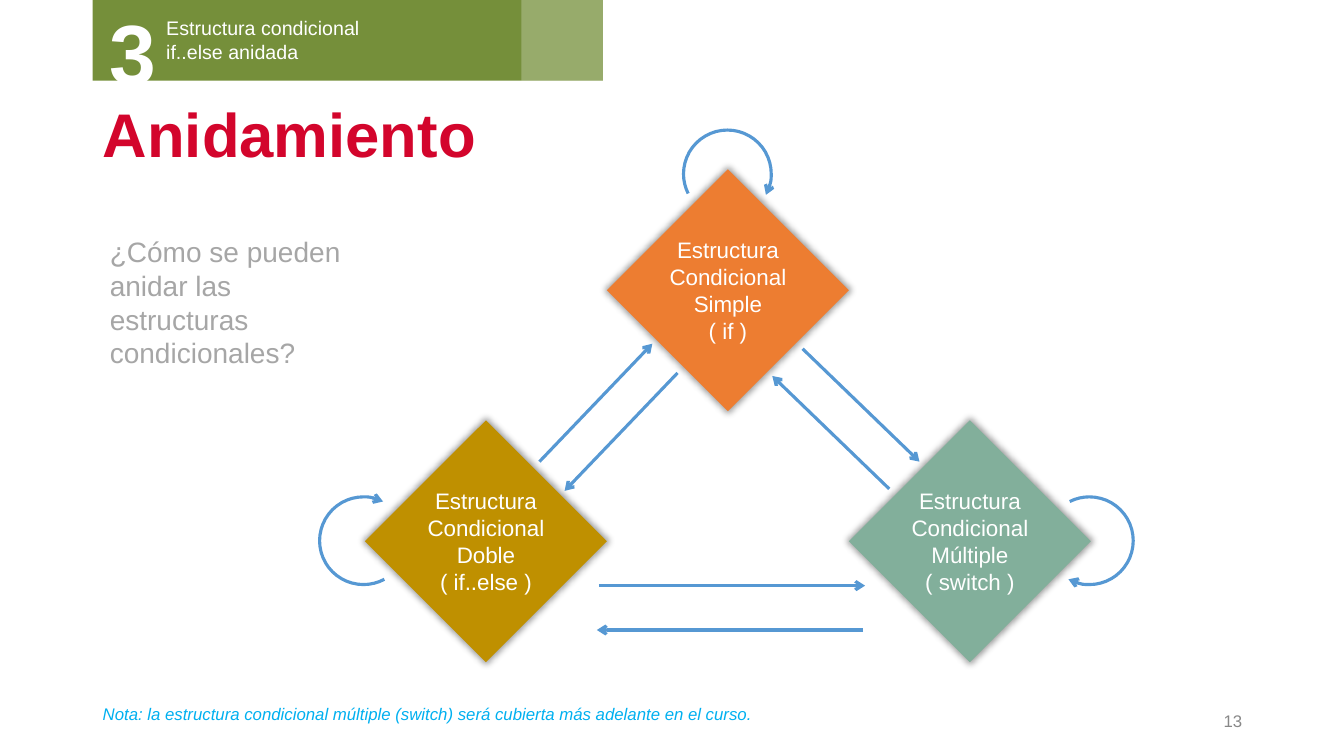
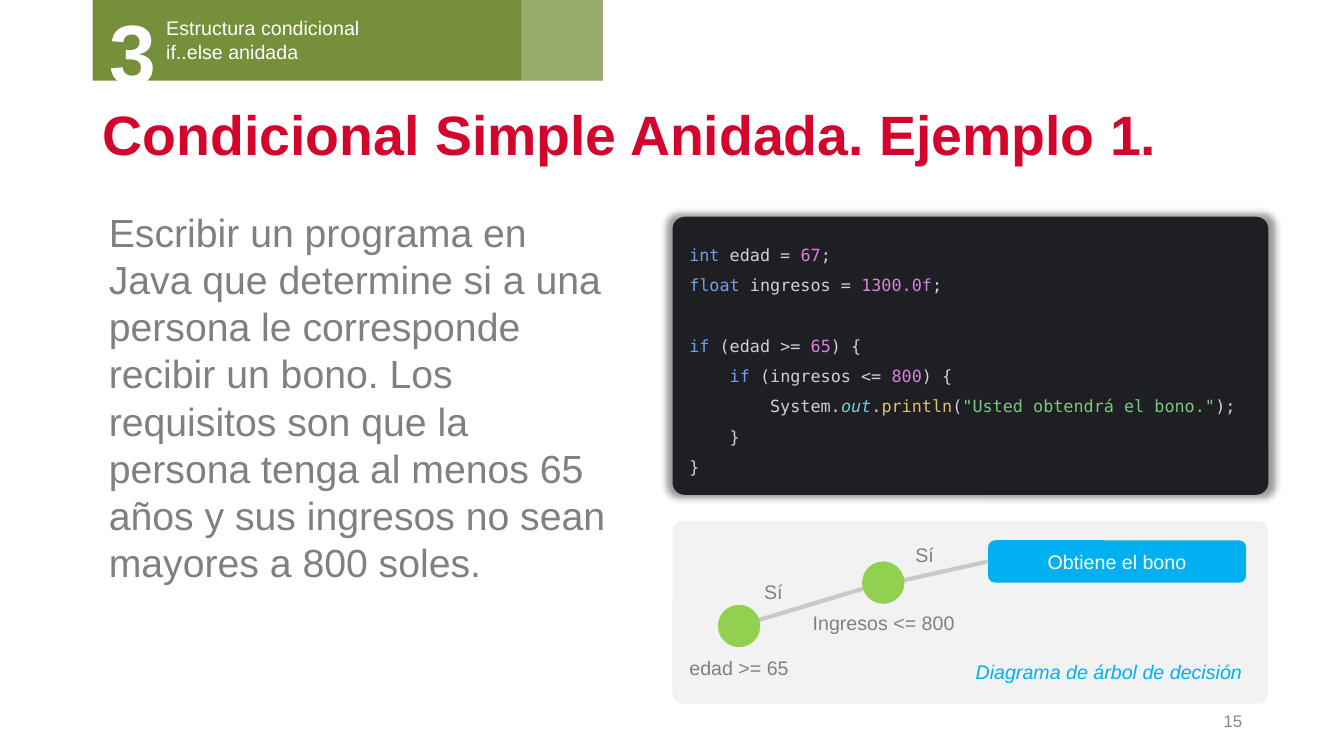
import pptx
import pptx.util
import pptx.dml.color
import pptx.enum.shapes
import pptx.enum.text
import pptx.oxml
import pptx.oxml.ns
from lxml import etree

Inches, Pt = pptx.util.Inches, pptx.util.Pt
SHAPE = pptx.enum.shapes.MSO_SHAPE
LEFT, CENTER, RIGHT = (pptx.enum.text.PP_ALIGN.LEFT, pptx.enum.text.PP_ALIGN.CENTER,
                       pptx.enum.text.PP_ALIGN.RIGHT)
TOP, MIDDLE = pptx.enum.text.MSO_ANCHOR.TOP, pptx.enum.text.MSO_ANCHOR.MIDDLE

FONT, MONO = "Arial", "DejaVu Sans Mono"
COLORS = {
    "white": "FFFFFF", "band": "758F3A", "title": "D3052C", "number": "888888",
    "question": "A6A6A6", "body": "808080", "accent": "00B0F0", "arrow": "5698D3",
    "simple": "ED7D31", "double": "BF9000", "multiple": "82AF9B",
    "editor": "1E1F22", "panel": "F2F2F2", "branch": "C9C9C9", "node": "92D050",
    "plain": "CED0D6", "keyword": "749DED", "value": "D981DE", "field": "72CFD6",
    "method": "DEBC7E", "string": "7EC482",
}

SECTION_NUMBER = "3"
SECTION = ["Estructura condicional", "if..else anidada"]

QUESTION = "¿Cómo se pueden anidar las estructuras condicionales?"
NOTE = ("Nota: la estructura condicional múltiple (switch) será cubierta "
        "más adelante en el curso.")
SIDE = 2.4
DIAMONDS = [  # left, top, colour, lines
    (6.02, 1.68, "simple", ["Estructura Condicional", "Simple", "( if )"]),
    (6.02 - SIDE, 4.17, "double", ["Estructura Condicional Doble", "( if..else )"]),
    (6.02 + SIDE, 4.17, "multiple", ["Estructura Condicional", "Múltiple", "( switch )"]),
]
ARROWS = [  # start, end
    ((7.96, 3.46), (9.12, 4.58)), ((8.82, 4.85), (7.66, 3.73)),
    ((5.35, 4.58), (6.47, 3.41)), ((6.72, 3.7), (5.6, 4.87)),
    ((5.94, 5.81), (8.58, 5.81)), ((8.56, 6.25), (5.92, 6.25)),
]
LOOPS = [  # left, top, rotation, mirrored, arrow end
    (6.78, 1.29, 270, False, "tailEnd"),
    (10.37, 4.93, 0, False, "tailEnd"),
    (3.17, 4.93, 0, True, "headEnd"),
]

TASK = ("Escribir un programa en Java que determine si a una persona le corresponde "
        "recibir un bono. Los requisitos son que la persona tenga al menos 65 años y "
        "sus ingresos no sean mayores a 800 soles.")
DECLARATIONS = [
    [("int ", "keyword"), ("edad = ", "plain"), ("67", "value"), (";", "plain")],
    [("float ", "keyword"), ("ingresos = ", "plain"), ("1300.0f", "value"), (";", "plain")],
]
CONDITION = [
    [("if ", "keyword"), ("(edad >= ", "plain"), ("65", "value"), (") {", "plain")],
    [("    if ", "keyword"), ("(ingresos <= ", "plain"), ("800", "value"), (") {", "plain")],
    [("        System.", "plain"), ("out", "field"), (".", "plain"), ("println", "method"),
     ("(", "plain"), ('"Usted obtendrá el bono."', "string"), (");", "plain")],
    [("    }", "plain")],
    [("}", "plain")],
]
NODE = 0.42
NODES = [(7.12, 6), (8.55, 5.57)]
TREE_LABELS = [  # text, left, top, width, alignment
    ("Sí", 8.98, 5.34, 0.39, LEFT),
    ("Sí", 7.48, 5.7, 0.39, LEFT),
    ("edad >= 65", 6.67, 6.46, 1.32, CENTER),
    ("Ingresos <= 800", 7.83, 6.01, 1.87, CENTER),
]


def rgb(name):
    return pptx.dml.color.RGBColor.from_string(COLORS[name])


def write(shape, paragraphs, size=14, color="white", font=FONT, bold=False, italic=False,
          align=LEFT, anchor=TOP, spacing=None, inset=0.1):
    """Fill a shape; a paragraph is a string or a list of (text, colour) runs."""
    if isinstance(paragraphs, str):
        paragraphs = [paragraphs]
    tf = shape.text_frame
    tf.word_wrap = True
    tf.vertical_anchor = anchor
    tf.margin_left = Inches(inset)
    tf.margin_right = Inches(min(inset, 0.1))
    tf.margin_top = tf.margin_bottom = Inches(0.05)
    for i, runs in enumerate(paragraphs):
        p = tf.add_paragraph() if i else tf.paragraphs[0]
        p.alignment = align
        if spacing:
            p.line_spacing = spacing
        for text, run_color in [(runs, color)] if isinstance(runs, str) else runs:
            r = p.add_run()
            r.text = text
            r.font.name, r.font.size = font, Pt(size)
            r.font.bold = bold
            r.font.italic = italic or run_color == "field"
            r.font.color.rgb = rgb(run_color)
    return shape


def add_text(s, paragraphs, left, top, width, height, **style):
    box = s.shapes.add_textbox(Inches(left), Inches(top), Inches(width), Inches(height))
    return write(box, paragraphs, **style)


def add_shape(s, kind, left, top, width, height, fill=None):
    sp = s.shapes.add_shape(kind, Inches(left), Inches(top), Inches(width), Inches(height))
    sp.shadow.inherit = False
    if fill:
        sp.fill.solid()
        sp.fill.fore_color.rgb = rgb(fill)
        sp.line.fill.background()
    else:
        sp.fill.background()
    return sp


def add_halo(sp):
    """Soft shadow on every side."""
    effects = sp._element.spPr.find(pptx.oxml.ns.qn("a:effectLst"))
    effects.append(pptx.oxml.parse_xml(
        '<a:outerShdw %s blurRad="63500" sx="102000" sy="102000" algn="ctr" rotWithShape="0">'
        '<a:srgbClr val="000000"><a:alpha val="40000"/></a:srgbClr></a:outerShdw>'
        % pptx.oxml.ns.nsdecls("a")))


def set_line(sp, color, width, arrow_end=None):
    sp.line.color.rgb = rgb(color)
    sp.line.width = Pt(width)
    if arrow_end:
        etree.SubElement(sp.line._get_or_add_ln(), pptx.oxml.ns.qn("a:" + arrow_end),
                         type="arrow")


def add_line(s, start, end, color, width, arrow_end=None):
    line = s.shapes.add_connector(pptx.enum.shapes.MSO_CONNECTOR.STRAIGHT,
                                  *[Inches(v) for v in start + end])
    set_line(line, color, width, arrow_end)
    etree.SubElement(line._element.spPr, pptx.oxml.ns.qn("a:effectLst"))
    return line


def add_slide(prs, title, number, title_size):
    """Slide with the section band, the title and the page number."""
    s = prs.slides.add_slide(prs.slide_layouts[5])
    add_shape(s, SHAPE.RECTANGLE, 0.92, 0, 5.06, 0.8, "band")
    add_text(s, SECTION, 1.55, 0.11, 2.75, 0.57)
    add_text(s, SECTION_NUMBER, 0.99, -0.04, 1.12, 1.11, size=60, bold=True)
    veil = add_shape(s, SHAPE.RECTANGLE, 5.17, 0, 0.81, 0.8, "white")
    color = veil._element.spPr.find(".//" + pptx.oxml.ns.qn("a:srgbClr"))
    etree.SubElement(color, pptx.oxml.ns.qn("a:alpha"), val="25000")
    ph = s.shapes.title
    ph.left, ph.top, ph.width, ph.height = [Inches(v) for v in (0.92, 0.93, 11.5, 0.86)]
    write(ph, title, size=title_size, color="title", bold=True, anchor=MIDDLE, spacing=0.9)
    add_text(s, number, 9.42, 6.95, 3, 0.4, size=12, color="number", align=RIGHT,
             anchor=MIDDLE)
    return s


def build_nesting(prs):
    s = add_slide(prs, "Anidamiento", "13", 44)
    add_text(s, QUESTION, 0.99, 2.28, 2.68, 1.45, size=20, color="question")
    for left, top, fill, lines in DIAMONDS:
        diamond = add_shape(s, SHAPE.DIAMOND, left, top, SIDE, SIDE, fill)
        add_halo(diamond)
        write(diamond, lines, size=16, align=CENTER, anchor=MIDDLE, inset=0)
    for start, end in ARROWS:
        add_line(s, start, end, "arrow", 2.25, "tailEnd")
    for left, top, rotation, mirrored, arrow_end in LOOPS:
        loop = add_shape(s, SHAPE.ARC, left, top, 0.87, 0.87)
        loop.adjustments[0], loop.adjustments[1] = 146.06, 71.09
        loop.rotation = rotation
        if mirrored:
            loop._element.spPr.find(pptx.oxml.ns.qn("a:xfrm")).set("flipH", "1")
        set_line(loop, "arrow", 2.25, arrow_end)
    add_text(s, NOTE, 0.92, 6.93, 7.32, 0.3, size=12, color="accent", italic=True)


def build_example(prs):
    s = add_slide(prs, "Condicional Simple Anidada. Ejemplo 1.", "15", 39.6)
    add_text(s, TASK, 0.92, 2.02, 5.23, 4.78, size=28, color="body", inset=0.16)

    editor = add_shape(s, SHAPE.ROUNDED_RECTANGLE, 6.67, 2.15, 5.91, 2.76, "editor")
    editor.adjustments[0] = 0.045
    add_halo(editor)
    write(editor, DECLARATIONS + CONDITION, size=12, font=MONO, anchor=MIDDLE, spacing=1.5,
          inset=0.13)
    editor.text_frame.paragraphs[len(DECLARATIONS)].space_before = Pt(21.6)

    panel = add_shape(s, SHAPE.ROUNDED_RECTANGLE, 6.67, 5.17, 5.91, 1.81, "panel")
    panel.adjustments[0] = 0.055
    result = add_shape(s, SHAPE.ROUNDED_RECTANGLE, 9.8, 5.36, 2.56, NODE, "accent")
    write(result, "Obtiene el bono", align=CENTER, anchor=MIDDLE)
    first, second = [(left + NODE / 2, top + NODE / 2) for left, top in NODES]
    add_line(s, first, second, "branch", 3)
    add_line(s, (8.86, 5.78), (9.8, 5.57), "branch", 3).end_connect(result, 1)
    for left, top in NODES:
        add_shape(s, SHAPE.OVAL, left, top, NODE, NODE, "node")
    for text, left, top, width, align in TREE_LABELS:
        add_text(s, text, left, top, width, 0.34, color="body", align=align)
    add_text(s, "Diagrama de árbol de decisión", 8.66, 6.5, 3.76, 0.34, color="accent",
             italic=True, align=RIGHT)


def main():
    prs = pptx.Presentation()
    prs.slide_width, prs.slide_height = Inches(13.33), Inches(7.5)
    build_nesting(prs)
    build_example(prs)
    prs.save("out.pptx")


if __name__ == "__main__":
    main()
